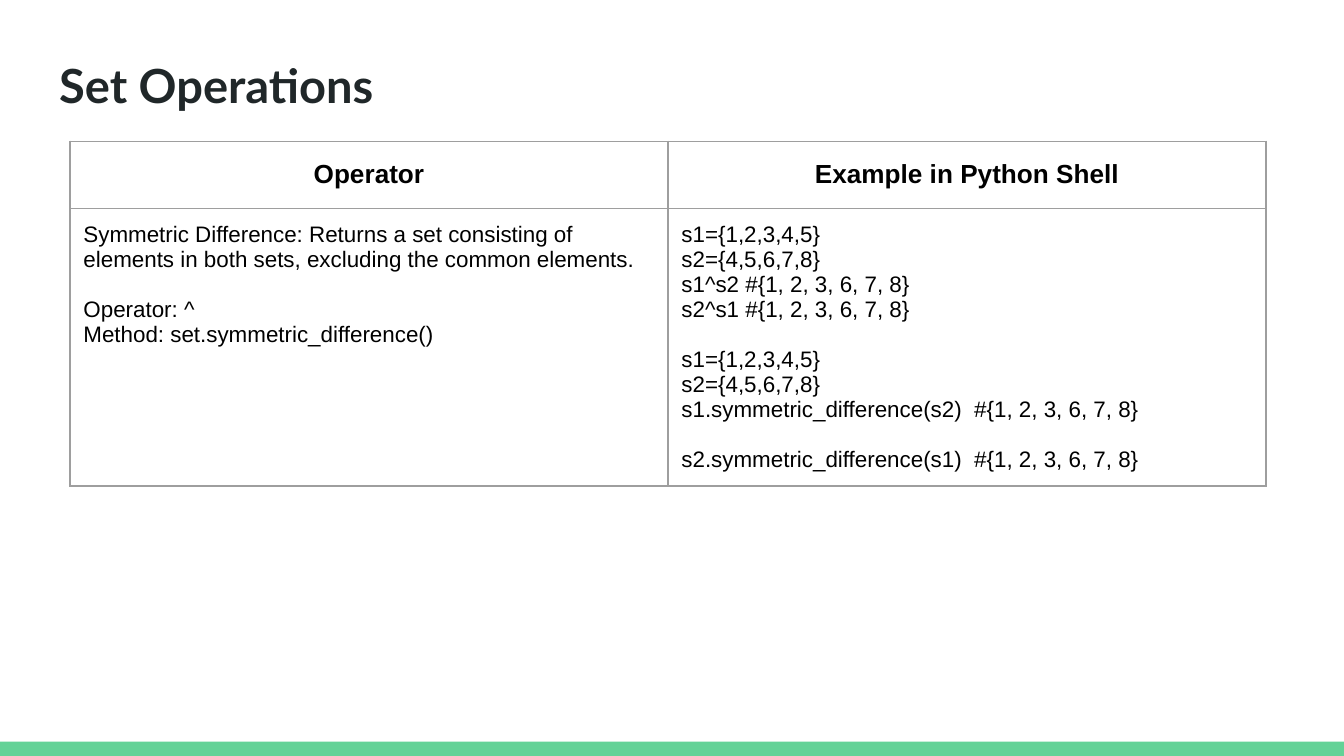
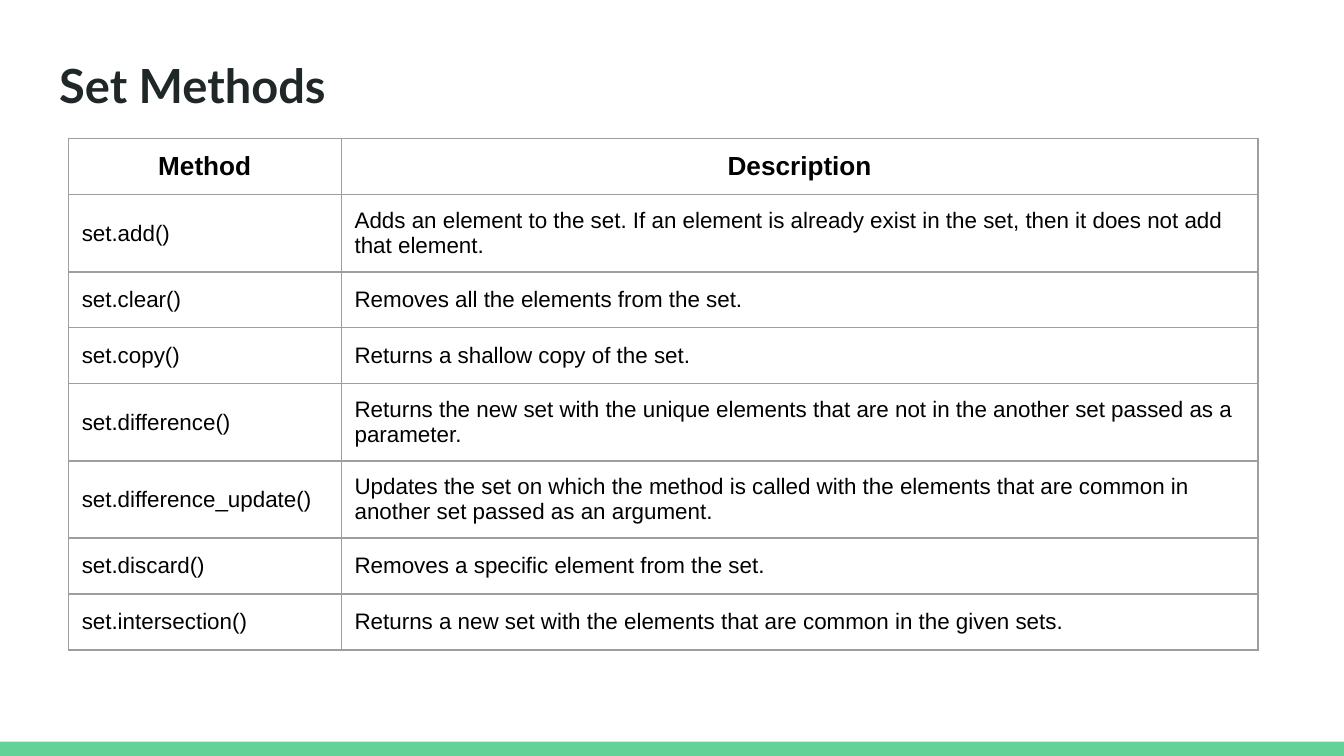
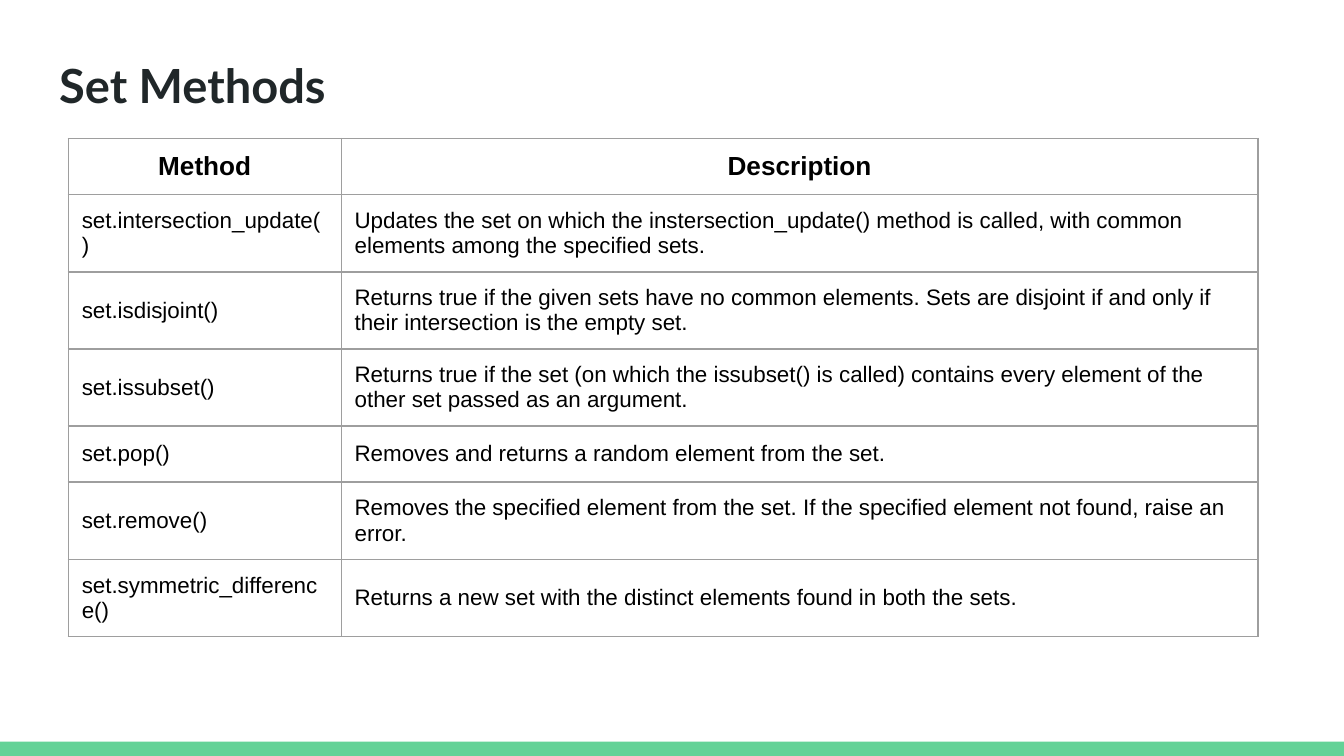
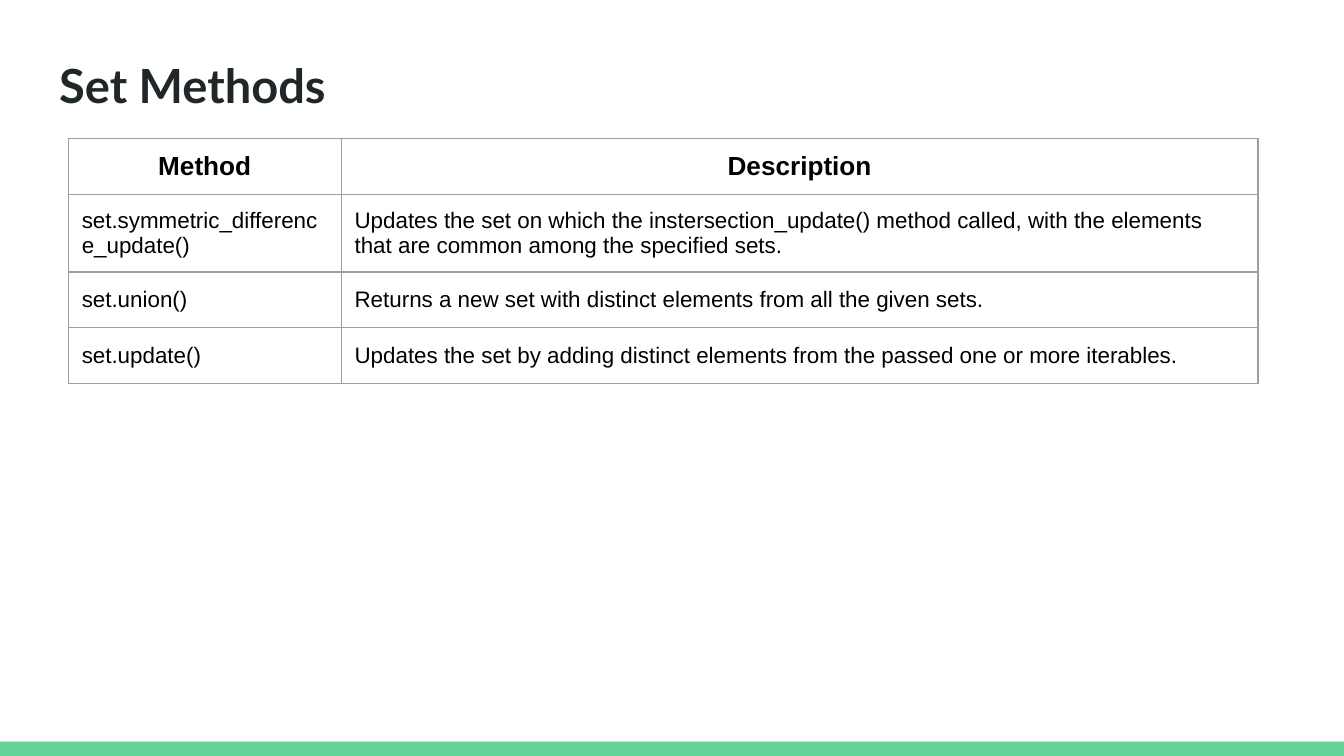
from lxml.etree import SubElement as Sub
from pptx import Presentation
from pptx.dml.color import RGBColor
from pptx.enum.shapes import MSO_SHAPE as Shape
from pptx.enum.text import MSO_ANCHOR as Anchor, MSO_AUTO_SIZE as Fit, PP_ALIGN as Align
from pptx.oxml.ns import qn
from pptx.util import Pt

WIDE, HIGH = 720, 405
BAND = 7.6
PAD = 7.2
LINE = 13.4
GREEN, INK, BLACK, GREY = "63D297", "202729", "000000", "9E9E9E"
HEAD = {"name": "Arial", "size": Pt(14), "bold": True}
BODY = {"name": "Arial", "size": Pt(12), "bold": False}
TITLE = {"name": "Lato", "size": Pt(25.2), "bold": True}
EDGES = "margin_left", "margin_top", "margin_right", "margin_bottom"

OPS = [
    ("Operator", "Example in Python Shell"),
    ([["Symmetric Difference: Returns a set consisting of elements in both sets, "
       "excluding the common elements."],
      ["Operator: ^", "Method: set.symmetric_difference()"]],
     [["s1={1,2,3,4,5}", "s2={4,5,6,7,8}",
       "s1^s2 #{1, 2, 3, 6, 7, 8}", "s2^s1 #{1, 2, 3, 6, 7, 8}"],
      ["s1={1,2,3,4,5}", "s2={4,5,6,7,8}",
       "s1.symmetric_difference(s2)  #{1, 2, 3, 6, 7, 8}"],
      ["s2.symmetric_difference(s1)  #{1, 2, 3, 6, 7, 8}"]]),
]

METHODS = [
    [("add()", "Adds an element to the set. If an element is already exist in the set, "
      "then it does not add that element."),
     ("clear()", "Removes all the elements from the set."),
     ("copy()", "Returns a shallow copy of the set."),
     ("difference()", "Returns the new set with the unique elements that are not in the "
      "another set passed as a parameter."),
     ("difference_update()", "Updates the set on which the method is called with the "
      "elements that are common in another set passed as an argument."),
     ("discard()", "Removes a specific element from the set."),
     ("intersection()", "Returns a new set with the elements that are common in the "
      "given sets.")],
    [("intersection_update()", "Updates the set on which the instersection_update() method "
      "is called, with common elements among the specified sets."),
     ("isdisjoint()", "Returns true if the given sets have no common elements. Sets are "
      "disjoint if and only if their intersection is the empty set."),
     ("issubset()", "Returns true if the set (on which the issubset() is called) contains "
      "every element of the other set passed as an argument."),
     ("pop()", "Removes and returns a random element from the set."),
     ("remove()", "Removes the specified element from the set. If the specified element "
      "not found, raise an error."),
     ("symmetric_difference()", "Returns a new set with the distinct elements found in "
      "both the sets.")],
    [("symmetric_difference_update()", "Updates the set on which the instersection_update() "
      "method called, with the elements that are common among the specified sets."),
     ("union()", "Returns a new set with distinct elements from all the given sets."),
     ("update()", "Updates the set by adding distinct elements from the passed one or "
      "more iterables.")],
]


def tint(code):
    return RGBColor.from_string(code)


def style(font, look, color):
    for key, value in look.items():
        setattr(font, key, value)
    font.color.rgb = tint(color)


def inset(item):
    for edge in EDGES:
        setattr(item, edge, Pt(PAD))


def add_band(slide):
    band = slide.shapes.add_shape(
        Shape.RECTANGLE, 0, Pt(HIGH - BAND), Pt(WIDE), Pt(BAND))
    band.shadow.inherit = False
    band.fill.solid()
    band.fill.fore_color.rgb = tint(GREEN)
    band.line.fill.background()
    slide.slide_layout.shapes._spTree.insert(2, band._element)


def add_title(slide, text, left, top, width, height):
    title = slide.shapes.title
    box = {"left": left, "top": top, "width": width, "height": height}
    for key, value in box.items():
        setattr(title, key, Pt(value))
    frame = title.text_frame
    frame.text = text
    frame.auto_size = Fit.NONE
    frame.vertical_anchor = Anchor.TOP
    inset(frame)
    para = frame.paragraphs[0]
    para.alignment = Align.LEFT
    style(para.font, TITLE, INK)


def add_edges(cell):
    props = cell._tc.get_or_add_tcPr()
    for side in "LRTB":
        line = Sub(props, qn(f"a:ln{side}"), w=str(Pt(0.75)))
        fill = Sub(line, qn("a:solidFill"))
        Sub(fill, qn("a:srgbClr"), val=GREY)


def fill_cell(cell, text, look, align, anchor):
    add_edges(cell)
    cell.fill.background()
    cell.vertical_anchor = anchor
    inset(cell)
    groups = [[text]] if isinstance(text, str) else text
    frame = cell.text_frame
    fresh = True
    for group in groups:
        for spot, words in enumerate(group):
            para = frame.paragraphs[0] if fresh else frame.add_paragraph()
            para.text = words
            para.alignment = align
            if spot == 0 and not fresh:
                para.space_before = Pt(LINE)
            style(para.font, look, BLACK)
            fresh = False


def add_grid(slide, rows, left, top, cols, highs, anchors):
    grid = slide.shapes.add_table(
        len(rows), len(cols), Pt(left), Pt(top), Pt(sum(cols)), Pt(sum(highs))).table
    grid.first_row = grid.horz_banding = False
    for col, width in zip(grid.columns, cols):
        col.width = Pt(width)
    for index, (row, high) in enumerate(zip(rows, highs)):
        grid.rows[index].height = Pt(high)
        look, align = (BODY, Align.LEFT) if index else (HEAD, Align.CENTER)
        for place, text in enumerate(row):
            fill_cell(grid.cell(index, place), text, look, align, anchors[index > 0])


def add_page(deck, text):
    slide = deck.slides.add_slide(deck.slide_layouts[5])
    add_title(slide, text, 24.5, 23, 671, 45.4)
    return slide


def op_page(deck):
    slide = add_page(deck, "Set Operations")
    add_band(slide)
    add_grid(slide, OPS, 37.5, 75.6, [320.4] * 2, [36, 148.4],
             (Anchor.MIDDLE, Anchor.TOP))


def method_page(deck, pairs):
    slide = add_page(deck, "Set Methods")
    rows = [("Method", "Description")]
    rows += [(f"set.{name}", about) for name, about in pairs]
    add_grid(slide, rows, 36.6, 74.2, [146.2, 491.2], [30] * len(rows),
             (Anchor.TOP, Anchor.MIDDLE))


def main():
    deck = Presentation()
    deck.slide_width, deck.slide_height = Pt(WIDE), Pt(HIGH)
    op_page(deck)
    for pairs in METHODS:
        method_page(deck, pairs)
    deck.save("out.pptx")


if __name__ == "__main__":
    main()
